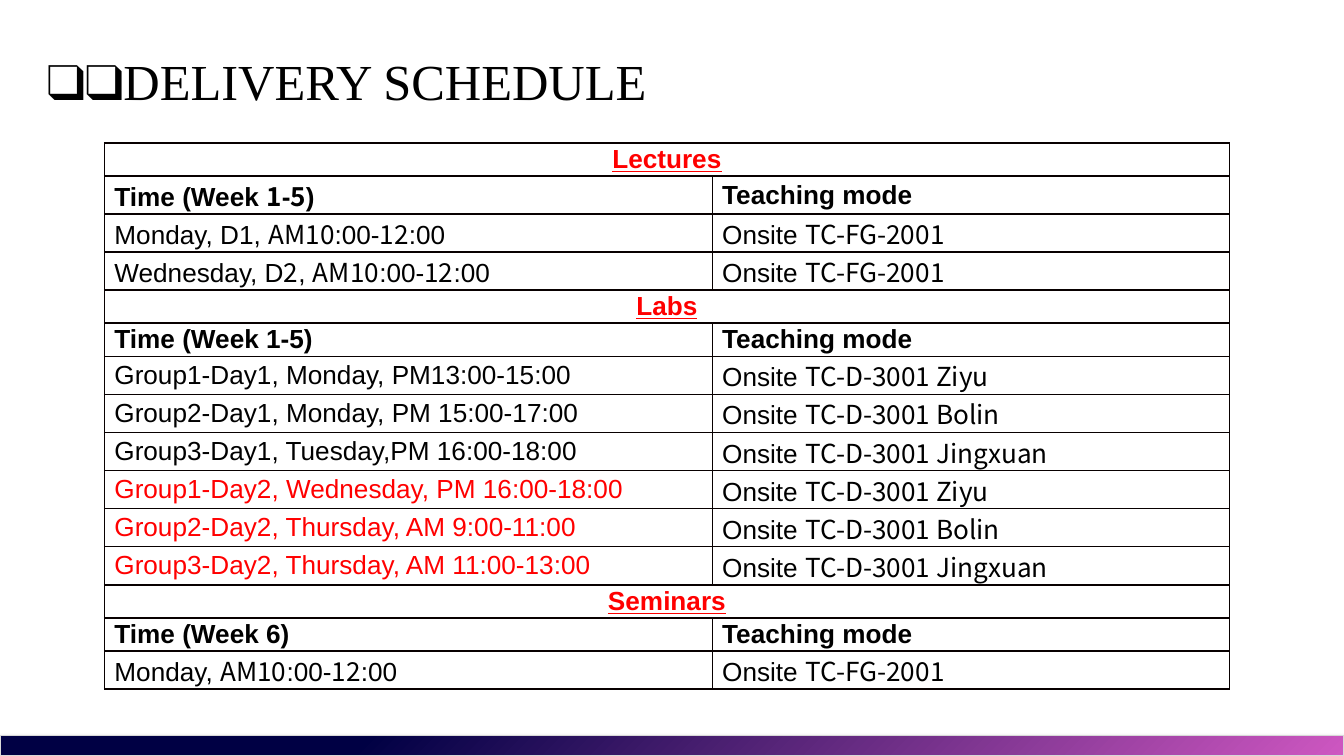
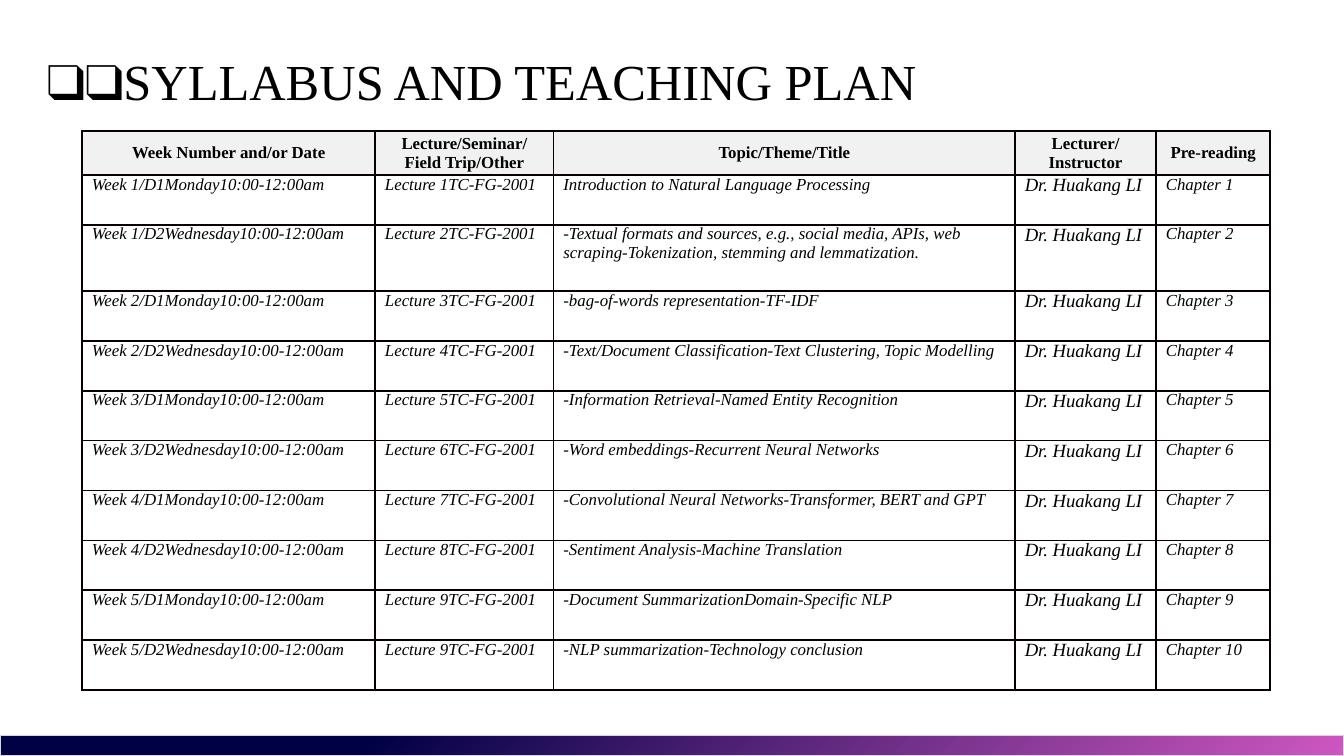
from dataclasses import dataclass
from itertools import cycle

from lxml.etree import SubElement
from pptx import Presentation
from pptx.dml.color import RGBColor
from pptx.enum.shapes import MSO_SHAPE
from pptx.enum.text import MSO_ANCHOR, PP_ALIGN
from pptx.oxml.ns import qn
from pptx.util import Pt


@dataclass(frozen=True)
class Theme:
    ink: str = "000000"
    accent: str = "FF0000"
    rule: str = "080000"
    header: str = "F1F1F1"
    band_start: str = "000044"
    band_end: str = "CE57C1"
    band_edge: str = "D8D8D8"
    serif: str = "Times New Roman"
    sans: str = "Arial"
    cjk: str = "Noto Sans CJK SC"
    title_size: float = 27
    schedule_size: float = 14
    plan_size: float = 9
    lecturer_size: float = 10


theme = Theme()


def add_ruled_table(slide, left, top, widths, heights):
    table = slide.shapes.add_table(
        len(heights), len(widths), Pt(left), Pt(top), Pt(sum(widths)), Pt(sum(heights))
    ).table
    table.first_row = table.horz_banding = False
    for column, width in zip(table.columns, widths):
        column.width = Pt(width)
    for row, height in zip(table.rows, heights):
        row.height = Pt(height)
    for cell in table.iter_cells():
        cell.margin_left = cell.margin_right = Pt(5.3)
        cell.margin_top = cell.margin_bottom = Pt(0)
        cell.vertical_anchor = MSO_ANCHOR.MIDDLE
        properties = cell._tc.get_or_add_tcPr()
        for side in ("a:lnL", "a:lnR", "a:lnT", "a:lnB"):
            border = SubElement(properties, qn(side), w=str(Pt(1)))
            fill = SubElement(border, qn("a:solidFill"))
            SubElement(fill, qn("a:srgbClr"), val=theme.rule)
        cell.fill.background()
    return table


def write_text(frame, text, fonts, size, color=theme.ink, bold=False, italic=False,
               underline=False, align=PP_ALIGN.LEFT):
    paragraph = frame.paragraphs[0]
    paragraph.alignment = align
    for part, font_name in zip(text.split("|"), cycle(fonts)):
        run = paragraph.add_run()
        run.text = part
        run.font.name = font_name
        run.font.size = Pt(size)
        run.font.color.rgb = RGBColor.from_string(color)
        run.font.bold = bold
        run.font.italic = italic
        run.font.underline = underline


presentation = Presentation()
presentation.slide_width = Pt(720)
presentation.slide_height = Pt(405)
blank = presentation.slide_layouts[6]

slides = []
for title in ("❑❑DELIVERY SCHEDULE", "❑❑SYLLABUS AND TEACHING PLAN"):
    slide = presentation.slides.add_slide(blank)
    heading = slide.shapes.add_textbox(Pt(18), Pt(16.6), Pt(594), Pt(53.3)).text_frame
    heading.word_wrap = True
    heading.vertical_anchor = MSO_ANCHOR.MIDDLE
    write_text(heading, title, [theme.serif], theme.title_size)
    slides.append(slide)
schedule_slide, plan_slide = slides

band = schedule_slide.shapes.add_shape(
    MSO_SHAPE.RECTANGLE, Pt(0), Pt(393.9), Pt(720), Pt(10.8)
)
band.rotation = 180
band.fill.gradient()
band.fill.gradient_angle = 135
for stop, position, color in zip(
    band.fill.gradient_stops, (0.27, 1), (theme.band_start, theme.band_end)
):
    stop.position = position
    stop.color.rgb = RGBColor.from_string(color)
band.line.color.rgb = RGBColor.from_string(theme.band_edge)
band.line.width = Pt(0.75)
band.shadow.inherit = False
shadow = SubElement(
    band.element.spPr.find(qn("a:effectLst")), qn("a:outerShdw"),
    blurRad=str(Pt(3.1)), dist=str(Pt(1.8)), dir="5400000", rotWithShape="0",
)
shadow_color = SubElement(shadow, qn("a:srgbClr"), val=theme.ink)
SubElement(shadow_color, qn("a:alpha"), val="35000")
blank.shapes.element.append(band.element)

lecture_room = "Onsite |TC-FG-2001"
lab_room = "Onsite |TC-D-3001 "
sections = [
    ("Lectures", "Time (Week |1|-|5|)", [
        ("Monday, D1, |AM10|:00-|12|:00", lecture_room, theme.ink),
        ("Wednesday, D|2|, |AM10|:00-|12|:00", lecture_room, theme.ink),
    ]),
    ("Labs", "Time (Week 1-5)", [
        ("Group1-Day1, Monday, PM13:00-15:00", lab_room + "Ziyu", theme.ink),
        ("Group2-Day1, Monday, PM 15:00-17:00", lab_room + "Bolin", theme.ink),
        ("Group3-Day1, Tuesday,PM 16:00-18:00", lab_room + "Jingxuan", theme.ink),
        ("Group1-Day2, Wednesday, PM 16:00-18:00", lab_room + "Ziyu", theme.accent),
        ("Group2-Day2, Thursday, AM 9:00-11:00", lab_room + "Bolin", theme.accent),
        ("Group3-Day2, Thursday, AM 11:00-13:00", lab_room + "Jingxuan", theme.accent),
    ]),
    ("Seminars", "Time (Week 6)", [
        ("Monday, |AM10|:00-|12|:00", lecture_room, theme.ink),
    ]),
]
schedule_rows = []
for section, weeks, sessions in sections:
    schedule_rows += [(section, "", theme.accent), (weeks, "Teaching mode", theme.ink)]
    schedule_rows += sessions
section_names = [section for section, _, _ in sections]
week_headers = [weeks for _, weeks, _ in sections]
schedule_fonts = [theme.sans, theme.cjk]
schedule = add_ruled_table(
    schedule_slide, 56, 76.5, [325.6, 277],
    [20.4 if "|" in time + mode else 17.8 for time, mode, _ in schedule_rows],
)
for row, (time, mode, color) in enumerate(schedule_rows):
    time_cell, mode_cell = schedule.cell(row, 0), schedule.cell(row, 1)
    if time in section_names:
        time_cell.merge(mode_cell)
        write_text(time_cell.text_frame, time, schedule_fonts, theme.schedule_size,
                   color, bold=True, underline=True, align=PP_ALIGN.CENTER)
        continue
    for cell, text, text_color in ((time_cell, time, color), (mode_cell, mode, theme.ink)):
        write_text(cell.text_frame, text, schedule_fonts, theme.schedule_size,
                   text_color, bold=time in week_headers)

plan_headers = [
    "Week Number and/or Date",
    "Lecture/Seminar/Field Trip/Other",
    "Topic/Theme/Title",
    "Lecturer/Instructor",
    "Pre-reading",
]
topics = [
    "Introduction to Natural Language Processing",
    "-Textual formats and sources, e.g., social media, APIs, web scraping"
    "-Tokenization, stemming and lemmatization.",
    "-bag-of-words representation-TF-IDF",
    "-Text/Document Classification-Text Clustering, Topic Modelling",
    "-Information Retrieval-Named Entity Recognition",
    "-Word embeddings-Recurrent Neural Networks",
    "-Convolutional Neural Networks-Transformer, BERT and GPT",
    "-Sentiment Analysis-Machine Translation",
    "-Document SummarizationDomain-Specific NLP",
    "-NLP summarization-Technology conclusion",
]
days = ["D1Monday", "D2Wednesday"]
plan = add_ruled_table(
    plan_slide, 44, 70.2, [157, 95.6, 247.2, 75.6, 61.2],
    [23.6, 26.73, 35.5] + [26.73] * (len(topics) - 2),
)
for column, header in enumerate(plan_headers):
    header_cell = plan.cell(0, column)
    header_cell.fill.solid()
    header_cell.fill.fore_color.rgb = RGBColor.from_string(theme.header)
    write_text(header_cell.text_frame, header, [theme.serif], theme.plan_size,
               bold=True, align=PP_ALIGN.CENTER)
for index, topic in enumerate(topics):
    number = index + 1
    entries = [
        (f"Week {index // 2 + 1}/{days[index % 2]}10:00-12:00am", theme.plan_size),
        (f"Lecture {min(number, 9)}TC-FG-2001", theme.plan_size),
        (topic, theme.plan_size),
        ("Dr. Huakang LI", theme.lecturer_size),
        (f"Chapter {number}", theme.plan_size),
    ]
    for column, (text, size) in enumerate(entries):
        entry_cell = plan.cell(number, column)
        entry_cell.vertical_anchor = MSO_ANCHOR.TOP
        write_text(entry_cell.text_frame, text, [theme.serif], size, italic=True)

presentation.save("out.pptx")
